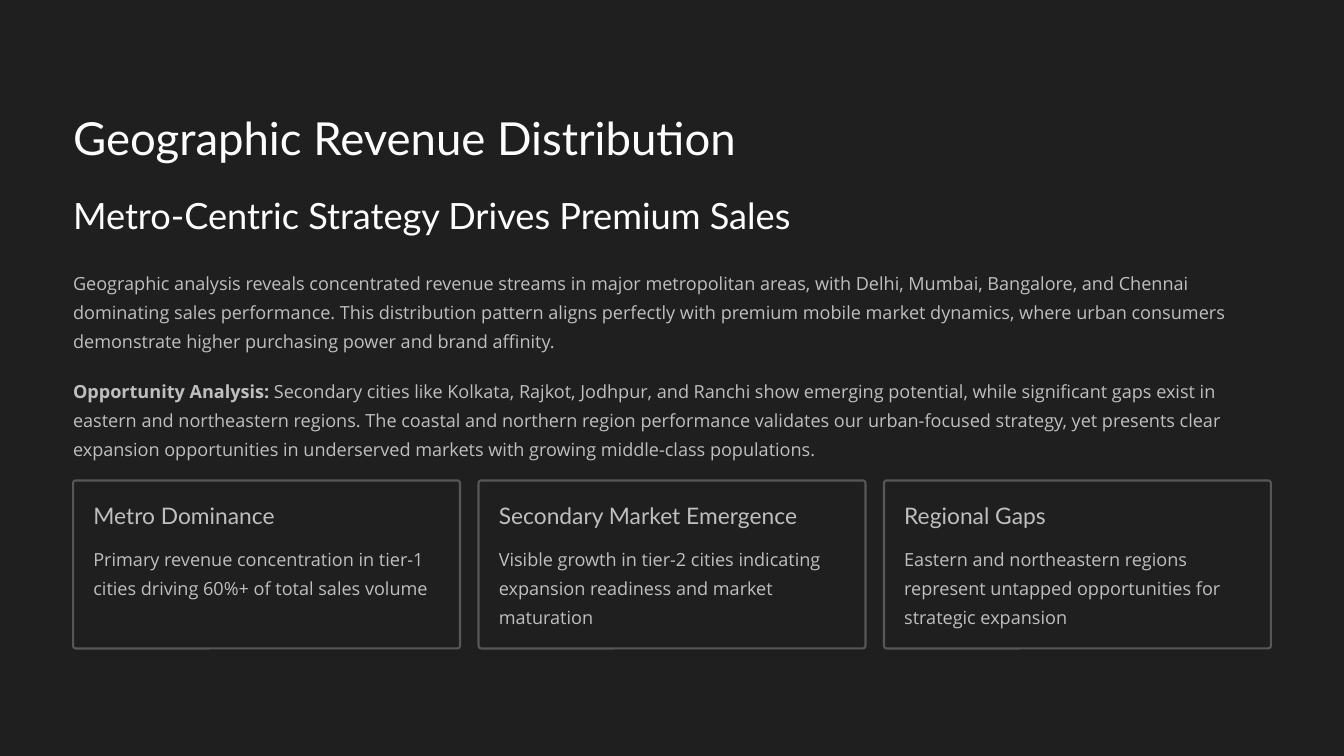
from pptx import Presentation
from pptx.dml.color import RGBColor as Rgb
from pptx.enum.shapes import MSO_SHAPE as Shape
from pptx.enum.text import MSO_ANCHOR as Anchor, MSO_AUTO_SIZE as Fit, PP_ALIGN as Align
from pptx.util import Inches, Pt

HUES = {"back": "1F1F1F", "head": "FEFEFE", "text": "BFBFBF", "edge": "575757"}
FONTS = {
    "title": ("Lato", 39, 48.5, "head"),
    "sub": ("Lato", 31, 39, "head"),
    "card": ("Lato", 19.5, 24, "text"),
    "body": ("Open Sans", 15.5, 25, "text"),
}
CARDS = [
    ("Metro Dominance", 0.61, 0.69,
     "Primary revenue concentration in tier-1 cities driving 60%+ of total sales volume"),
    ("Secondary Market Emergence", 0.84, 1.04,
     "Visible growth in tier-2 cities indicating expansion readiness and market maturation"),
    ("Regional Gaps", 0.61, 1.04,
     "Eastern and northeastern regions represent untapped opportunities for strategic expansion"),
]
INTRO = (
    "Geographic analysis reveals concentrated revenue streams in major metropolitan areas, "
    "with Delhi, Mumbai, Bangalore, and Chennai dominating sales performance. "
    "This distribution pattern aligns perfectly with premium mobile market dynamics, "
    "where urban consumers demonstrate higher purchasing power and brand affinity."
)
CHANCE = (
    " Secondary cities like Kolkata, Rajkot, Jodhpur, and Ranchi show emerging potential, "
    "while significant gaps exist in eastern and northeastern regions. "
    "The coastal and northern region performance validates our urban-focused strategy, "
    "yet presents clear expansion opportunities in underserved markets "
    "with growing middle-class populations."
)


class Deck:
    """Draws styled elements on a grid of three columns and nine rows."""

    def __init__(self):
        self.show = Presentation()
        self.show.slide_width, self.show.slide_height = Inches(16), Inches(9)
        self.slide = self.show.slides.add_slide(self.show.slide_layouts[5])
        fill = self.slide.background.fill
        fill.solid()
        fill.fore_color.rgb = self.hue("back")
        self.edge, self.gap = 0.87, 0.22
        self.step = (16 - 2 * self.edge + self.gap) / 3
        self.row = 9 / 9

    def hue(self, name):
        return Rgb.from_string(HUES[name])

    def area(self, col, row, cols, rows):
        return [Inches(size) for size in (
            self.edge + col * self.step, row * self.row,
            cols * self.step - self.gap, rows * self.row)]

    def style(self, shape, kind, text, lead=""):
        frame = shape.text_frame
        frame.word_wrap = True
        frame.auto_size = Fit.NONE
        frame.vertical_anchor = Anchor.TOP
        frame.margin_left = frame.margin_right = 0
        frame.margin_top = frame.margin_bottom = 0
        para = frame.paragraphs[0]
        if lead:
            run = para.add_run()
            run.text = lead
            run.font.bold = True
        para.add_run().text = text
        face, size, line, hue = FONTS[kind]
        para.alignment = Align.LEFT
        para.line_spacing = Pt(line)
        para.font.name, para.font.size = face, Pt(size)
        para.font.color.rgb = self.hue(hue)

    def title(self, text, *cell):
        shape = self.slide.shapes.title
        shape.left, shape.top, shape.width, shape.height = self.area(*cell)
        self.style(shape, "title", text)

    def text(self, kind, text, *cell, lead=""):
        shape = self.slide.shapes.add_textbox(*self.area(*cell))
        self.style(shape, kind, text, lead)

    def card(self, col, row, head, span, rows, body):
        shape = self.slide.shapes.add_shape(
            Shape.ROUNDED_RECTANGLE, *self.area(col, row, 1, 2))
        shape.adjustments[0] = 0.016
        shape.shadow.inherit = False
        shape.fill.solid()
        shape.fill.fore_color.rgb = self.hue("back")
        shape.line.color.rgb = self.hue("edge")
        shape.line.width = Pt(1.8)
        self.text("card", head, col + 0.05, row + 0.25, span, 0.34)
        self.text("body", body, col + 0.05, row + 0.72, 0.9, rows)


def main():
    deck = Deck()
    deck.title("Geographic Revenue Distribution", 0, 1.28, 1.78, 0.68)
    deck.text("sub", "Metro-Centric Strategy Drives Premium Sales", 0, 2.28, 1.95, 0.54)
    deck.text("body", INTRO, 0, 3.15, 3, 1.04)
    deck.text("body", CHANCE, 0, 4.44, 3, 1.04, lead="Opportunity Analysis:")
    for col, card in enumerate(CARDS):
        deck.card(col, 5.72, *card)
    deck.show.save("out.pptx")


if __name__ == "__main__":
    main()
